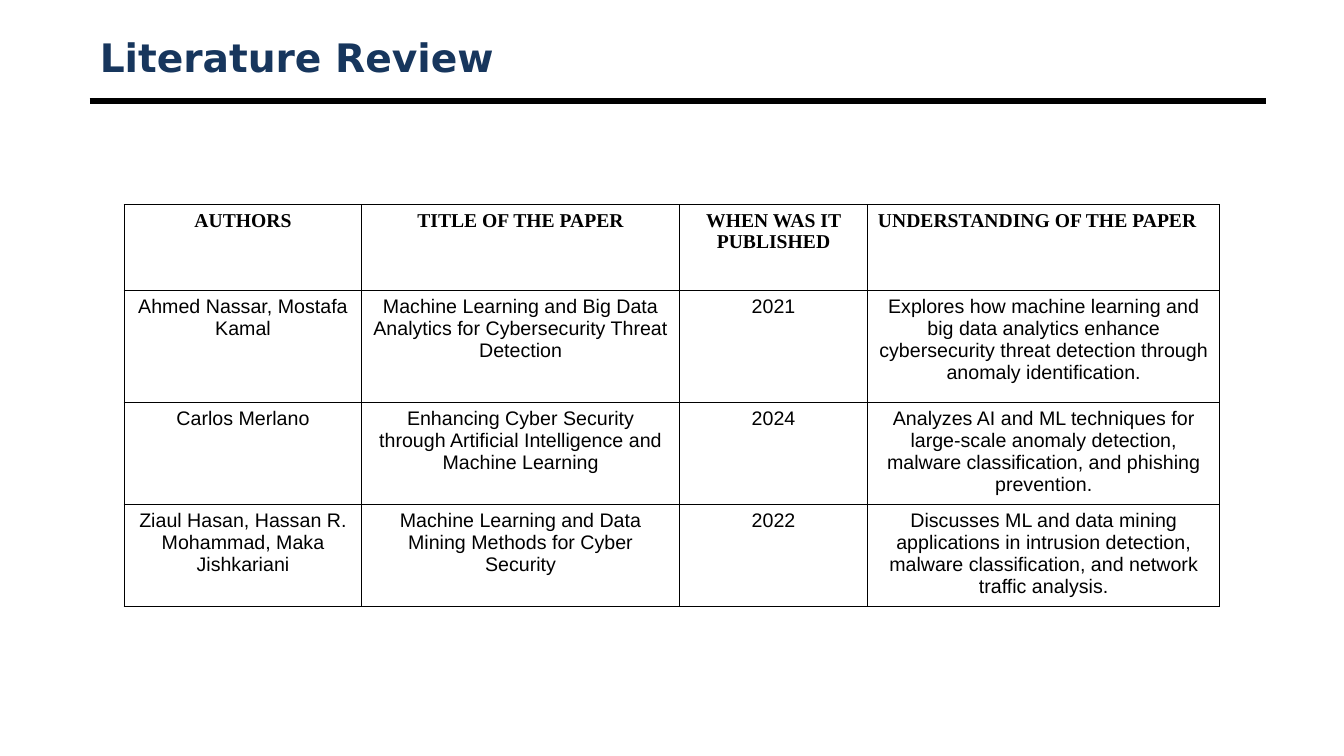
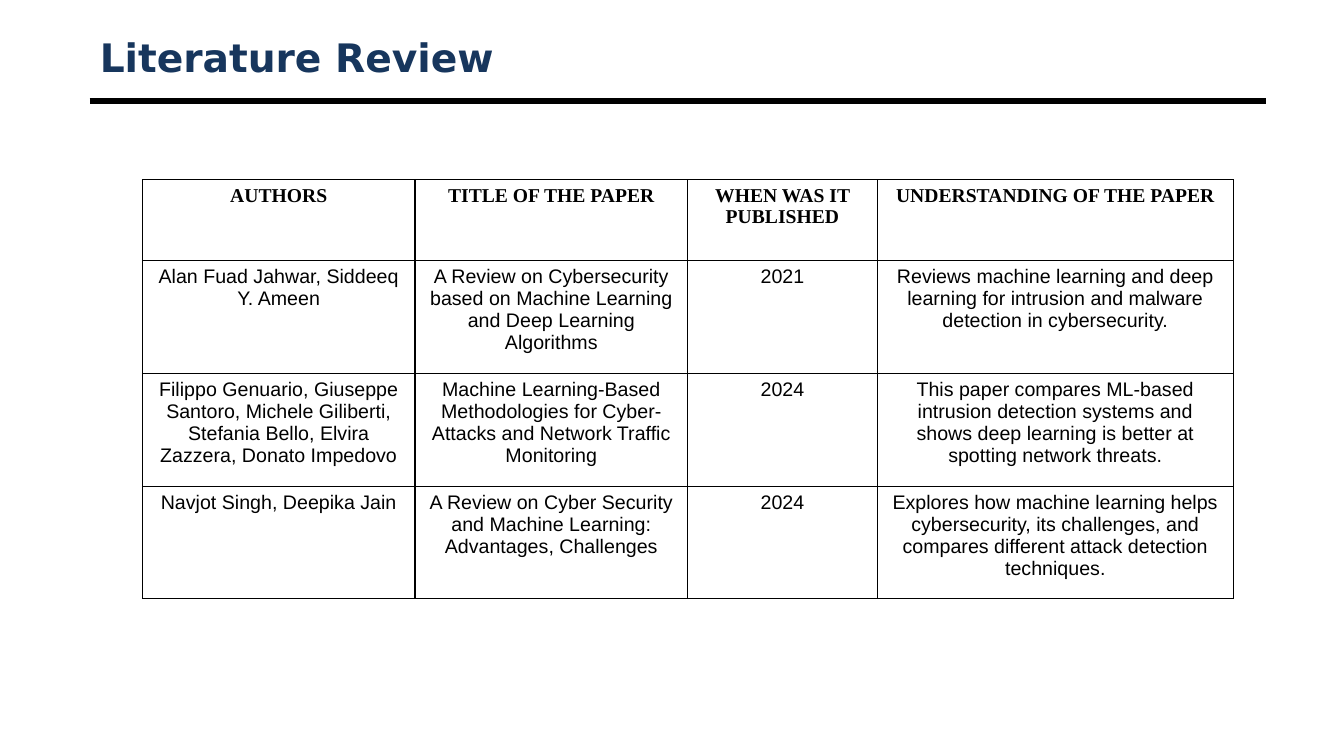
from lxml.etree import SubElement
from pptx import Presentation
from pptx.dml.color import RGBColor
from pptx.enum.shapes import MSO_CONNECTOR
from pptx.enum.text import MSO_ANCHOR, MSO_AUTO_SIZE, PP_ALIGN
from pptx.oxml.ns import qn
from pptx.util import Cm, Pt

COLORS = {"title": "17365D", "ink": "000000"}
FONTS = {"title": "DejaVu Sans", "header": "Times New Roman", "body": "Arial"}
TITLE_ONLY_LAYOUT = 5
TITLE_BOX = (2.26, 0.76, 29.64, 1.35)
RULE_TOP = 2.54
HEADERS = ("AUTHORS", "TITLE OF THE PAPER", "WHEN WAS IT PUBLISHED", "UNDERSTANDING OF THE PAPER")

REVIEWS = [
    {
        "origin": (3.13, 5.16),
        "columns": (5.99, 8, 4.75, 8.87),
        "rows": (2.16, 2.82, 2.57, 2.57),
        "last_header_align": PP_ALIGN.LEFT,
        "papers": [
            ("Ahmed Nassar, Mostafa Kamal",
             "Machine Learning and Big Data Analytics for Cybersecurity Threat Detection",
             "2021",
             "Explores how machine learning and big data analytics enhance cybersecurity "
             "threat detection through anomaly identification."),
            ("Carlos Merlano",
             "Enhancing Cyber Security through Artificial Intelligence and Machine Learning",
             "2024",
             "Analyzes AI and ML techniques for large-scale anomaly detection, "
             "malware classification, and phishing prevention."),
            ("Ziaul Hasan, Hassan R. Mohammad, Maka Jishkariani",
             "Machine Learning and Data Mining Methods for Cyber Security",
             "2022",
             "Discusses ML and data mining applications in intrusion detection, "
             "malware classification, and network traffic analysis."),
        ],
    },
    {
        "origin": (3.59, 4.53),
        "columns": (6.87, 6.87, 4.78, 8.97),
        "rows": (2.04, 2.84, 2.84, 2.84),
        "last_header_align": PP_ALIGN.CENTER,
        "papers": [
            ("Alan Fuad Jahwar, Siddeeq Y. Ameen",
             "A Review on Cybersecurity based on Machine Learning and Deep Learning Algorithms",
             "2021",
             "Reviews machine learning and deep learning for intrusion and malware "
             "detection in cybersecurity."),
            ("Filippo Genuario, Giuseppe Santoro, Michele Giliberti, Stefania Bello, "
             "Elvira Zazzera, Donato Impedovo",
             "Machine Learning-Based Methodologies for Cyber-Attacks and Network Traffic Monitoring",
             "2024",
             "This paper compares ML-based intrusion detection systems and shows "
             "deep learning is better at spotting network threats."),
            ("Navjot Singh, Deepika Jain",
             "A Review on Cyber Security and Machine Learning: Advantages, Challenges",
             "2024",
             "Explores how machine learning helps cybersecurity, its challenges, and "
             "compares different attack detection techniques."),
        ],
    },
]


def write_run(paragraph, text, font_name, size, color, bold, align):
    paragraph.alignment = align
    run = paragraph.add_run()
    run.text = text
    run.font.name = font_name
    run.font.size = Pt(size)
    run.font.bold = bold
    run.font.color.rgb = RGBColor.from_string(COLORS[color])


def add_title(slide, text, box):
    title = slide.shapes.title
    title.left, title.top, title.width, title.height = map(Cm, box)
    frame = title.text_frame
    frame.word_wrap = True
    frame.auto_size = MSO_AUTO_SIZE.NONE
    frame.vertical_anchor = MSO_ANCHOR.MIDDLE
    write_run(frame.paragraphs[0], text, FONTS["title"], 28, "title", True, PP_ALIGN.LEFT)


def add_rule(slide, left, top, width):
    rule = slide.shapes.add_connector(
        MSO_CONNECTOR.STRAIGHT, Cm(left), Cm(top), Cm(left + width), Cm(top))
    rule.line.color.rgb = RGBColor.from_string(COLORS["ink"])
    rule.line.width = Pt(4.5)
    SubElement(rule._element.spPr, qn("a:effectLst"))


def add_borders(cell):
    properties = cell._tc.get_or_add_tcPr()
    for side in ("a:lnL", "a:lnR", "a:lnT", "a:lnB"):
        border = SubElement(properties, qn(side), w=str(Pt(1)))
        fill = SubElement(border, qn("a:solidFill"))
        SubElement(fill, qn("a:srgbClr"), val=COLORS["ink"])


def add_review_table(slide, review):
    left, top = review["origin"]
    columns, rows = review["columns"], review["rows"]
    table = slide.shapes.add_table(
        len(rows), len(columns), Cm(left), Cm(top), Cm(sum(columns)), Cm(sum(rows))).table
    table.first_row = False
    table.horz_banding = False
    for column, width in zip(table.columns, columns):
        column.width = Cm(width)
    for row, height in zip(table.rows, rows):
        row.height = Cm(height)
    for row_index, texts in enumerate([HEADERS, *review["papers"]]):
        is_header = row_index == 0
        font_name = FONTS["header" if is_header else "body"]
        for column_index, text in enumerate(texts):
            is_last_header = is_header and column_index == len(columns) - 1
            align = review["last_header_align"] if is_last_header else PP_ALIGN.CENTER
            cell = table.cell(row_index, column_index)
            add_borders(cell)
            cell.fill.background()
            write_run(cell.text_frame.paragraphs[0], text, font_name, 14, "ink", is_header, align)


def add_review_slide(presentation, review):
    slide = presentation.slides.add_slide(presentation.slide_layouts[TITLE_ONLY_LAYOUT])
    add_rule(slide, TITLE_BOX[0], RULE_TOP, TITLE_BOX[2])
    add_title(slide, "Literature Review", TITLE_BOX)
    add_review_table(slide, review)


def main():
    presentation = Presentation()
    presentation.slide_width = Cm(33.87)
    presentation.slide_height = Cm(19.05)
    for review in REVIEWS:
        add_review_slide(presentation, review)
    presentation.save("out.pptx")


if __name__ == "__main__":
    main()
